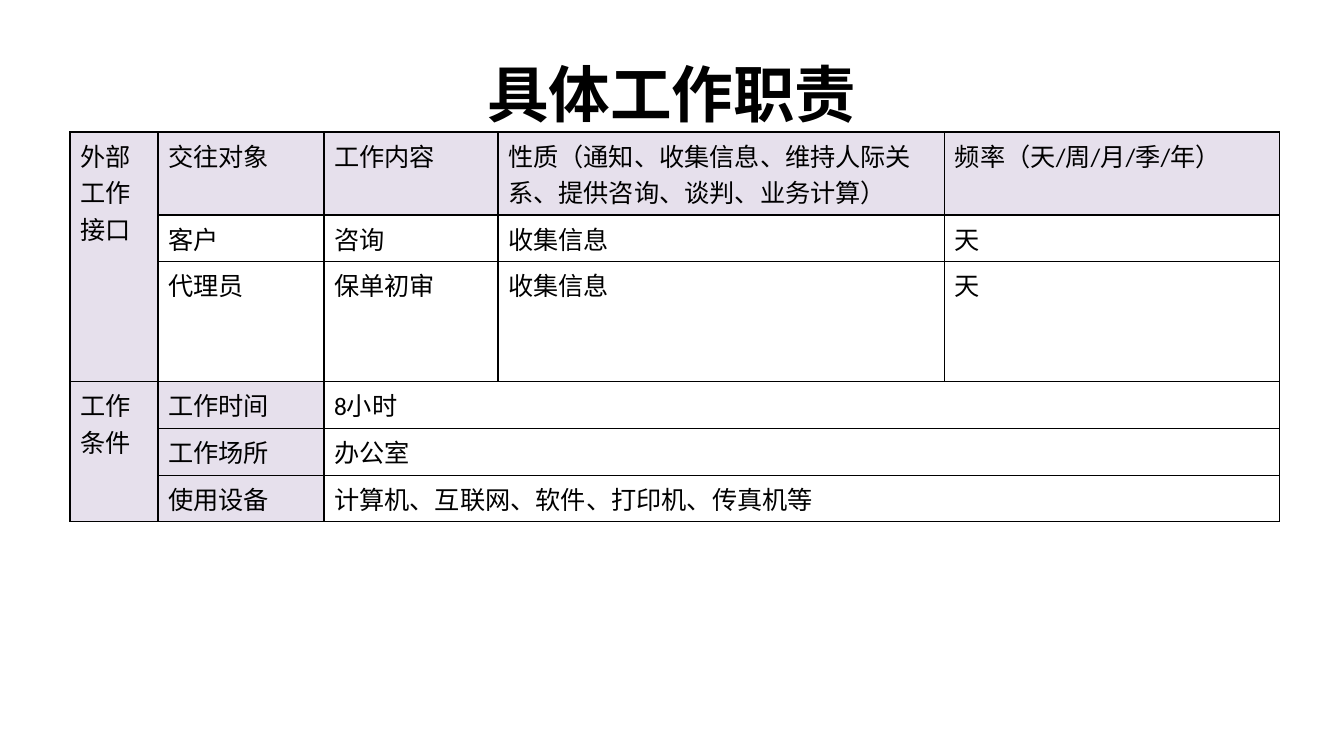
from lxml import etree
from pptx import Presentation, util as u
from pptx.dml.color import RGBColor
from pptx.enum import text
from pptx.oxml import ns

PX = 914400 / 100.8
COLORS = {"ink": "000000", "label": "E6E0EC"}
CJK = "Noto Sans CJK SC"


def px(value):
    return u.Emu(round(value * PX))


def write(frame, words, size, font, bold=False, align=None):
    para = frame.paragraphs[0]
    para.alignment = align
    span = para.add_run()
    span.text = words
    span.font.size = u.Pt(size)
    span.font.name = font
    span.font.bold = bold
    span.font.color.rgb = RGBColor.from_string(COLORS["ink"])
    etree.SubElement(span.font._element, ns.qn("a:ea"), typeface=CJK)


deck = Presentation()
deck.slide_width, deck.slide_height = px(1344), px(756)
page = deck.slides.add_slide(deck.slide_layouts[5])

title = page.shapes.title
title.left, title.top, title.width, title.height = px(67), px(30), px(1210), px(126)
title.text_frame.vertical_anchor = text.MSO_ANCHOR.MIDDLE
write(title.text_frame, "具体工作职责", 44, CJK, bold=True, align=text.PP_ALIGN.CENTER)

widths = [88, 166, 174, 447, 335]
heights = [83, 46, 120, 46, 47, 46]
rows = [
    ["外部工作接口", "交往对象", "工作内容",
     "性质（通知、收集信息、维持人际关系、提供咨询、谈判、业务计算）", "频率（天/周/月/季/年）"],
    ["", "客户", "咨询", "收集信息", "天"],
    ["", "代理员", "保单初审", "收集信息", "天"],
    ["工作条件", "工作时间", "8小时"],
    ["", "工作场所", "办公室"],
    ["", "使用设备", "计算机、互联网、软件、打印机、传真机等"],
]

frame = page.shapes.add_table(
    len(rows), len(widths), px(70), px(132), px(sum(widths)), px(sum(heights)))
table = frame.table
table.first_row = table.horz_banding = False
for column, width in zip(table.columns, widths):
    column.width = px(width)
for row, height in zip(table.rows, heights):
    row.height = px(height)

for top in (0, 3):
    table.cell(top, 0).merge(table.cell(top + 2, 0))
for r in (3, 4, 5):
    table.cell(r, 2).merge(table.cell(r, 4))

for r in range(len(rows)):
    for c in range(len(widths)):
        cell = table.cell(r, c)
        borders = cell._tc.get_or_add_tcPr()
        for side in ("lnL", "lnR", "lnT", "lnB"):
            line = etree.SubElement(borders, ns.qn("a:" + side), w=str(u.Pt(1)))
            paint = etree.SubElement(line, ns.qn("a:solidFill"))
            etree.SubElement(paint, ns.qn("a:srgbClr"), val=COLORS["ink"])
        if r == 0 or c == 0 or (r > 2 and c == 1):
            cell.fill.solid()
            cell.fill.fore_color.rgb = RGBColor.from_string(COLORS["label"])
        else:
            cell.fill.background()
        if not cell.is_spanned:
            write(cell.text_frame, rows[r][c], 18, "Calibri")

deck.save("out.pptx")
